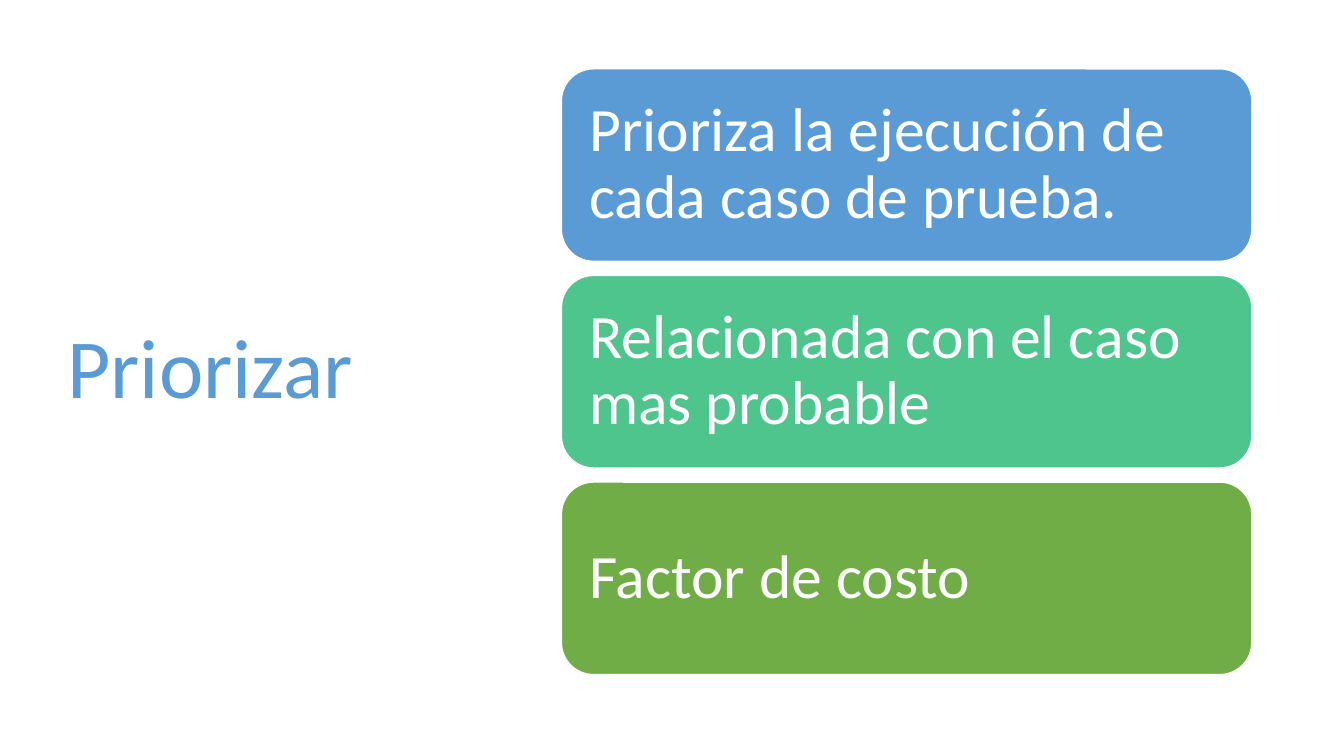
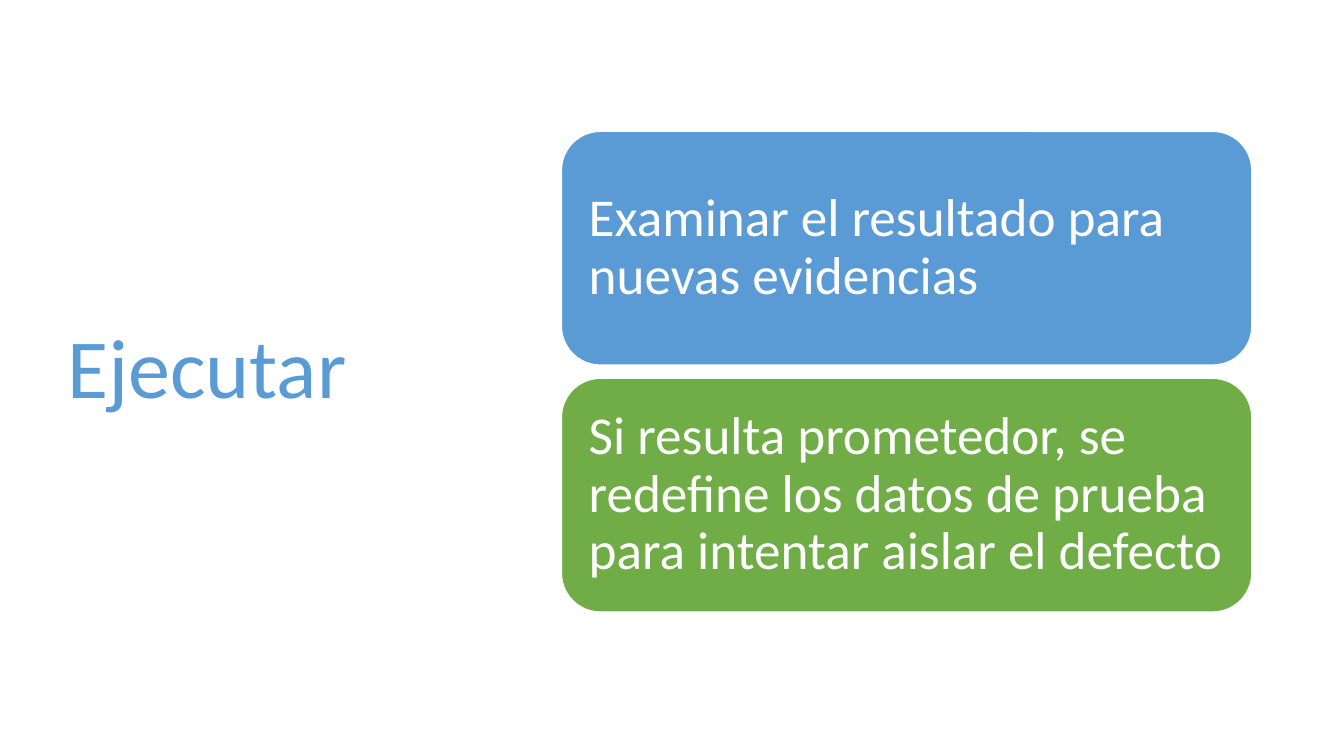
from dataclasses import dataclass
from pptx import Presentation
from pptx.dml.color import RGBColor
from pptx.enum.shapes import MSO_SHAPE as Preset
from pptx.enum.text import MSO_ANCHOR as Anchor, PP_ALIGN as Align
from pptx.util import Pt

SLIDES = [
    {
        "title": "Priorizar",
        "cards": [
            ("Prioriza la ejecución de cada caso de prueba.", "blue"),
            ("Relacionada con el caso mas probable", "teal"),
            ("Factor de costo", "green"),
        ],
        "text_size": 44, "card_height": 137.5, "gap": 10.1,
    },
    {
        "title": "Ejecutar",
        "cards": [
            ("Examinar el resultado para nuevas evidencias", "blue"),
            ("Si resulta prometedor, se redefine los datos de prueba "
             "para intentar aislar el defecto", "green"),
        ],
        "text_size": 38, "card_height": 167, "gap": 9.4,
    },
]


@dataclass(frozen=True)
class Theme:
    font: str = "Calibri"
    blue: str = "5B9BD5"
    teal: str = "4DC58D"
    green: str = "70AD47"
    white: str = "FFFFFF"
    title_size: float = 60
    line_spacing: float = 0.9
    outline: float = 1
    inset_ratio: float = 0.3


THEME = Theme()
SLIDE_SIZE = (960, 540)
TITLE_BOX = (41, 49, 299.5, 433)
CARD_LEFT, CARD_WIDTH = 401, 493.2
CENTER = TITLE_BOX[1] + TITLE_BOX[3] / 2


def apply_format(target, values):
    for name, value in values.items():
        setattr(target, name, value)


def write_text(shape, text, size, color, insets):
    frame = shape.text_frame
    sides = ("margin_left", "margin_top", "margin_right", "margin_bottom")
    apply_format(frame, {"word_wrap": True, "vertical_anchor": Anchor.MIDDLE,
                         **{side: Pt(inset) for side, inset in zip(sides, insets)}})
    paragraph = frame.paragraphs[0]
    apply_format(paragraph, {"text": text, "alignment": Align.LEFT,
                             "line_spacing": THEME.line_spacing})
    font = paragraph.runs[0].font
    apply_format(font, {"name": THEME.font, "size": Pt(size)})
    font.color.rgb = RGBColor.from_string(color)


def add_title(slide, text):
    title = slide.shapes.add_textbox(*map(Pt, TITLE_BOX))
    write_text(title, text, THEME.title_size, THEME.blue, (7.2, 3.6, 7.2, 3.6))


def add_card(slide, top, height, text, color, size):
    card = slide.shapes.add_shape(
        Preset.ROUNDED_RECTANGLE, *map(Pt, (CARD_LEFT, top, CARD_WIDTH, height)))
    card.shadow.inherit = False
    card.fill.solid()
    card.fill.fore_color.rgb = RGBColor.from_string(color)
    card.line.color.rgb = RGBColor.from_string(THEME.white)
    card.line.width = Pt(THEME.outline)
    write_text(card, text, size, THEME.white, [size * THEME.inset_ratio] * 4)


def add_card_stack(slide, cards, height, gap, size):
    pitch = height + gap
    first_top = CENTER - (len(cards) * pitch - gap) / 2
    for index, (text, color_name) in enumerate(cards):
        color = getattr(THEME, color_name)
        add_card(slide, first_top + index * pitch, height, text, color, size)


presentation = Presentation()
presentation.slide_width, presentation.slide_height = map(Pt, SLIDE_SIZE)
blank_layout = presentation.slide_layouts[6]

for content in SLIDES:
    slide = presentation.slides.add_slide(blank_layout)
    add_title(slide, content["title"])
    add_card_stack(slide, content["cards"], content["card_height"],
                   content["gap"], content["text_size"])

presentation.save("out.pptx")
